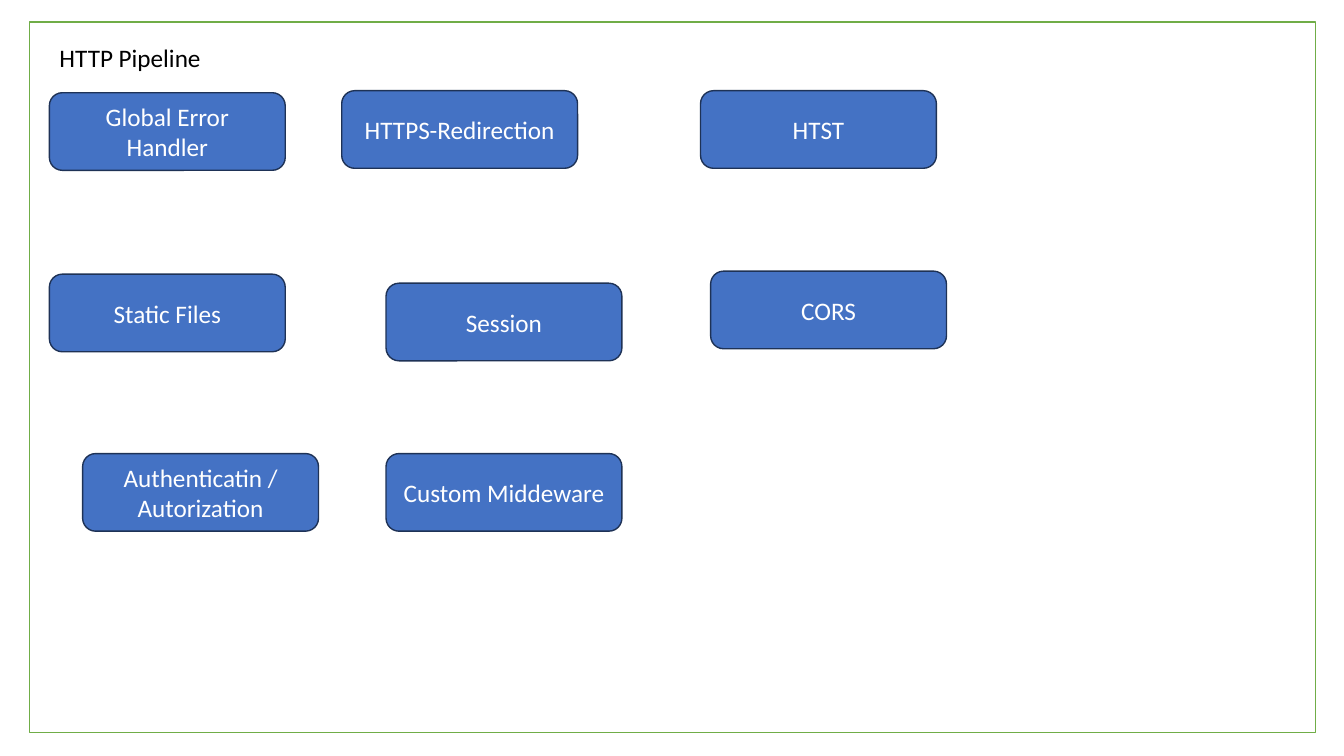
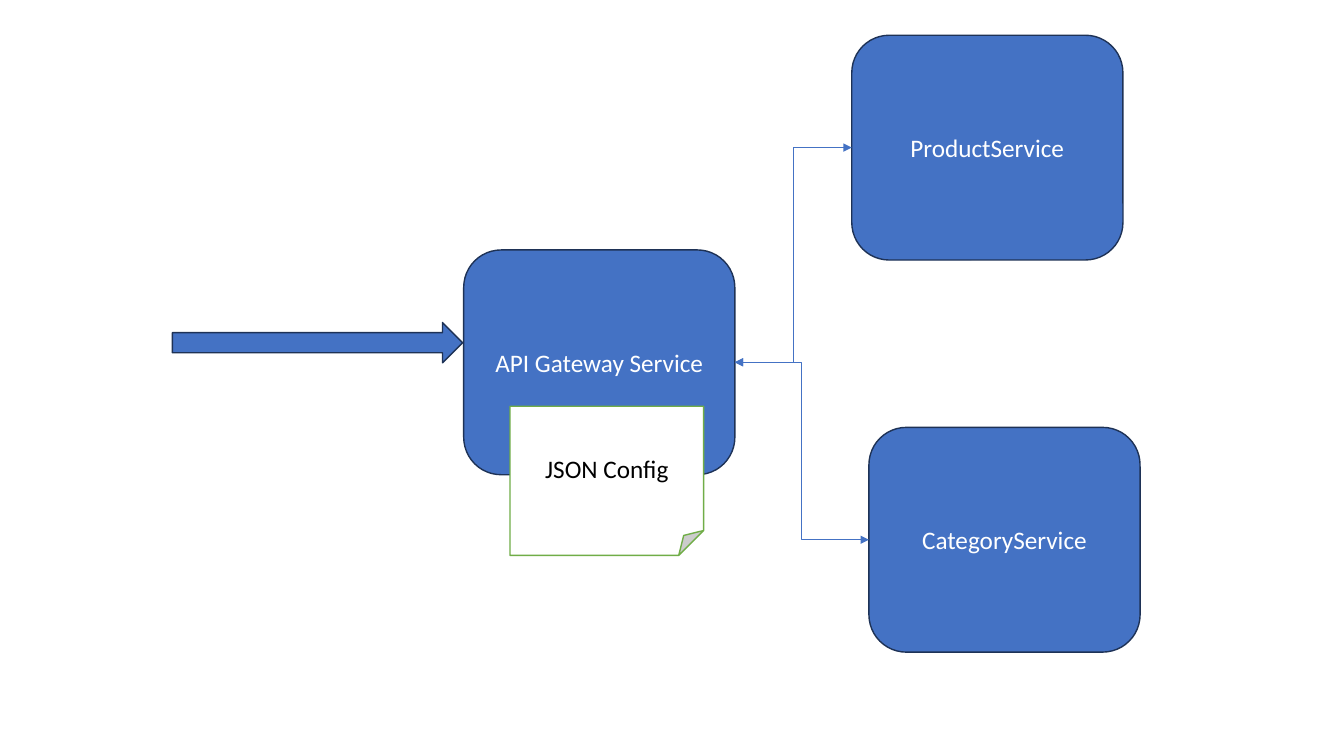
from collections import namedtuple

from lxml.etree import SubElement
from pptx import Presentation
from pptx.dml.color import RGBColor
from pptx.enum.shapes import MSO_CONNECTOR, MSO_SHAPE
from pptx.enum.text import MSO_ANCHOR, MSO_AUTO_SIZE, PP_ALIGN
from pptx.oxml.ns import qn
from pptx.util import Inches, Pt

COLORS = {
    "blue": "4472C4",
    "navy": "1E3256",
    "green": "70AD47",
    "white": "FFFFFF",
    "black": "000000",
}
STYLES = {
    "block": {"fill": "blue", "line": "navy", "text": "white"},
    "paper": {"fill": "white", "line": "green", "text": "black"},
}
FONT = {"name": "Calibri", "size": Pt(18), "bold": False}
TITLE_FRAME = {
    "auto_size": MSO_AUTO_SIZE.NONE,
    "vertical_anchor": MSO_ANCHOR.TOP,
    "word_wrap": True,
}

# The slide is a grid of square cells, ten to the inch.
CELL = Inches(0.1)
COLUMNS, ROWS = 133.33, 75
TITLE_ONLY, BLANK = 5, 6
RIGHT_SIDE, LEFT_SIDE = 3, 1

Box = namedtuple("Box", "left top width height")

STEP_SIZE = (23.4, 7.7)
PIPELINE_STEPS = [
    ("Global Error Handler", 2, 7),
    ("HTTPS-Redirection", 31, 6.8),
    ("HTST", 66.6, 6.8),
    ("Static Files", 2, 25),
    ("Session", 35.4, 25.9),
    ("CORS", 67.6, 24.7),
    ("Authenticatin / Autorization", 5.3, 42.8),
    ("Custom Middeware", 35.4, 42.8),
]
SERVICE_SIZE = (26.9, 22.3)
SERVICES = [
    ("ProductService", 84.5, 3.5),
    ("CategoryService", 86.2, 42.4),
]


def color(name):
    return RGBColor.from_string(COLORS[name])


def inside(box, left, top, width, height):
    """Return a box whose position is counted from the corner of another."""
    return Box(box.left + left, box.top + top, width, height)


def lengths(box):
    return [round(cells * CELL) for cells in box]


def set_all(target, values):
    for name, value in values.items():
        setattr(target, name, value)


def write(shape, text, color_name, alignment):
    shape.text_frame.text = text
    paragraph = shape.text_frame.paragraphs[0]
    paragraph.alignment = alignment
    font = paragraph.runs[0].font
    set_all(font, FONT)
    font.color.rgb = color(color_name)


def add_block(slide, box, text="", kind=MSO_SHAPE.ROUNDED_RECTANGLE, style="block"):
    look = STYLES[style]
    shape = slide.shapes.add_shape(kind, *lengths(box))
    shape.shadow.inherit = False
    shape.fill.solid()
    shape.fill.fore_color.rgb = color(look["fill"])
    shape.line.color.rgb = color(look["line"])
    shape.line.width = Pt(1)
    if text:
        write(shape, text, look["text"], PP_ALIGN.CENTER)
    return shape


def add_title(slide, box, text):
    title = slide.shapes.title
    set_all(title, dict(zip(Box._fields, lengths(box))))
    set_all(title.text_frame, TITLE_FRAME)
    write(title, text, "black", PP_ALIGN.LEFT)
    return title


def link(slide, source, target):
    """Join two blocks with an elbow that has an arrowhead at both ends."""
    connector = slide.shapes.add_connector(MSO_CONNECTOR.ELBOW, 0, 0, 0, 0)
    connector.begin_connect(source, RIGHT_SIDE)
    connector.end_connect(target, LEFT_SIDE)
    connector.line.color.rgb = color("blue")
    connector.line.width = Pt(0.5)
    properties = connector.element.spPr
    line = properties.find(qn("a:ln"))
    for end in ("a:headEnd", "a:tailEnd"):
        SubElement(line, qn(end), type="triangle")
    SubElement(properties, qn("a:effectLst"))


def build_pipeline(slide, box):
    frame = add_block(slide, box, kind=MSO_SHAPE.RECTANGLE, style="paper")
    title = add_title(slide, inside(box, 2, 1.5, 46, 4), "HTTP Pipeline")
    title.element.addprevious(frame.element)
    for text, left, top in PIPELINE_STEPS:
        add_block(slide, inside(box, left, top, *STEP_SIZE), text)


def build_gateway(slide, box):
    services = [
        add_block(slide, inside(box, left, top, *SERVICE_SIZE), text)
        for text, left, top in SERVICES
    ]
    gateway = add_block(slide, inside(box, 46, 24.8, *SERVICE_SIZE), "API Gateway Service")
    add_block(slide, inside(box, 50.6, 40.3, 19.2, 14.8), "JSON Config",
              MSO_SHAPE.FOLDED_CORNER, "paper")
    add_block(slide, inside(box, 17.1, 32, 28.8, 4), kind=MSO_SHAPE.RIGHT_ARROW)
    for service in services:
        link(slide, gateway, service)


def main():
    presentation = Presentation()
    presentation.slide_width = round(COLUMNS * CELL)
    presentation.slide_height = ROWS * CELL
    pages = [
        (TITLE_ONLY, build_pipeline, Box(2.9, 2.2, 127.6, 70.5)),
        (BLANK, build_gateway, Box(0, 0, COLUMNS, ROWS)),
    ]
    for layout, build, box in pages:
        build(presentation.slides.add_slide(presentation.slide_layouts[layout]), box)
    presentation.save("out.pptx")


if __name__ == "__main__":
    main()
